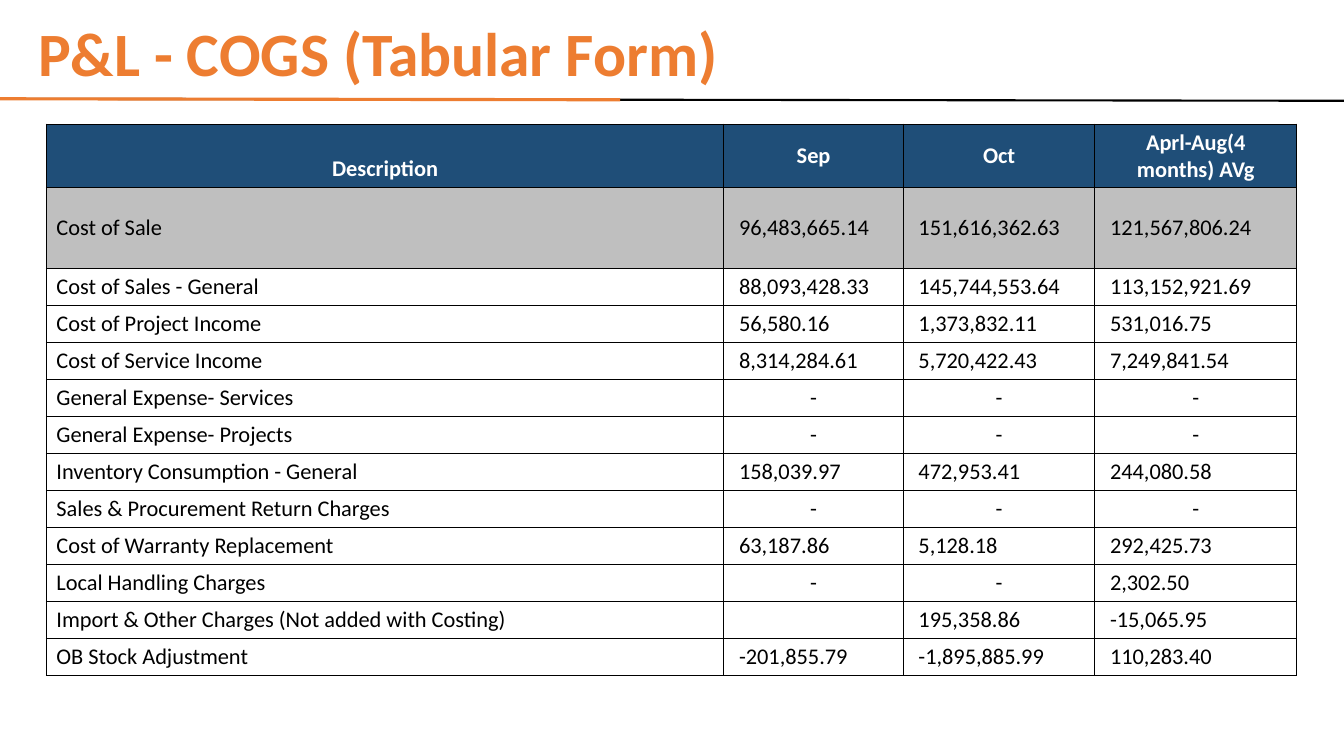
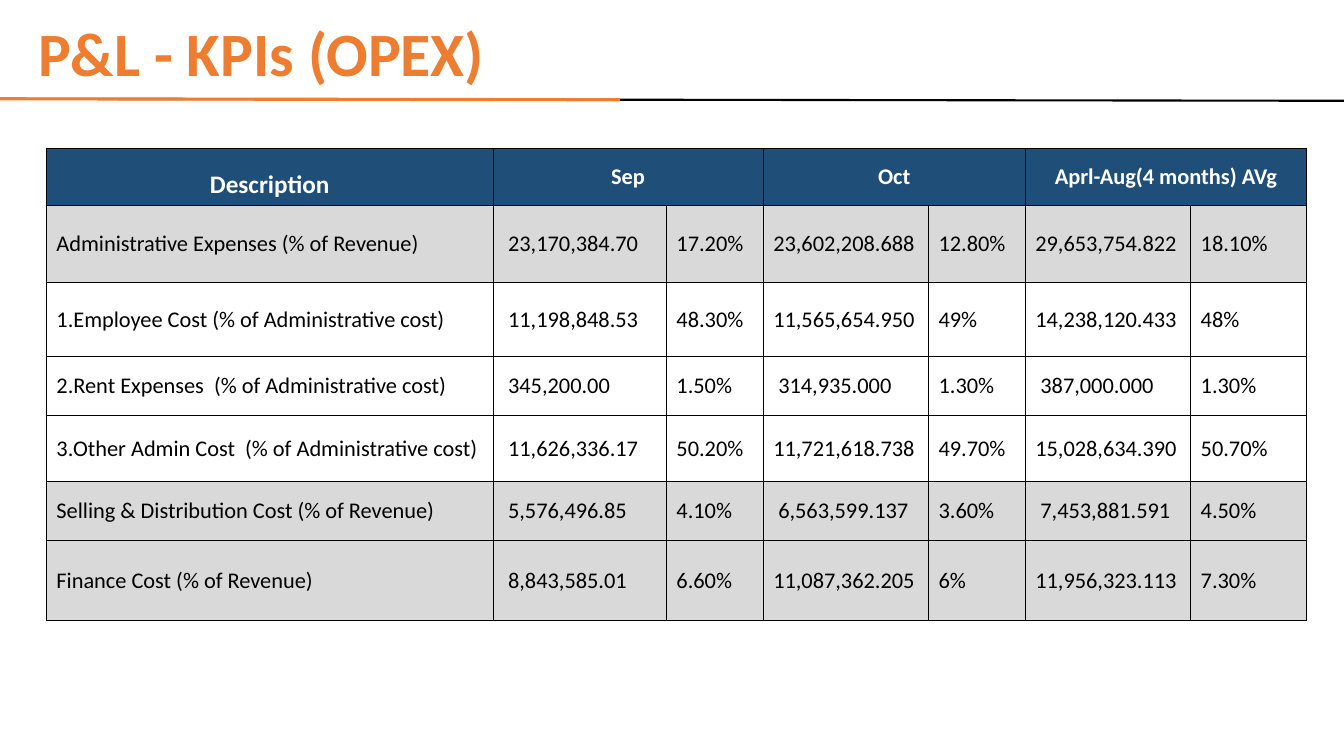
from dataclasses import dataclass

import lxml.etree
import pptx
import pptx.dml.color
import pptx.enum.shapes
import pptx.enum.text
import pptx.oxml.ns
import pptx.util

Inches, Pt = pptx.util.Inches, pptx.util.Pt
Align, Anchor = pptx.enum.text.PP_ALIGN, pptx.enum.text.MSO_ANCHOR
qn = pptx.oxml.ns.qn


@dataclass(frozen=True)
class Theme:
    font: str = "Calibri"
    accent: str = "ED7D31"
    ink: str = "000000"
    paper: str = "FFFFFF"
    header: str = "1F4E78"
    cogs_total: str = "BFBFBF"
    kpi_total: str = "D9D9D9"
    title_size: float = 44
    body_size: float = 16
    large_header_size: float = 18
    border: float = 0.75
    closing_border: float = 1.2
    cell_margin: float = 0.1
    amount_indent: float = 0.15


THEME = Theme()


def rgb(colour):
    return pptx.dml.color.RGBColor.from_string(colour)


def style_text(paragraph, size, colour, bold=False, align=Align.LEFT):
    paragraph.alignment = align
    font = paragraph.font
    font.name, font.size, font.bold = THEME.font, Pt(size), bold
    font.color.rgb = rgb(colour)


# Title and the two-colour rule beneath it
def add_rule(slide, start, end, colour, weight):
    rule = slide.shapes.add_connector(
        pptx.enum.shapes.MSO_CONNECTOR.STRAIGHT,
        *(Inches(value) for value in (*start, *end)))
    rule.line.color.rgb = rgb(colour)
    rule.line.width = Pt(weight)
    lxml.etree.SubElement(rule._element.spPr, qn("a:effectLst"))


def add_heading(slide, title, left, top, width, height):
    bottom = top + 0.87
    add_rule(slide, (0.03, bottom), (13.35, bottom + 0.02), THEME.ink, 1.5)
    box = slide.shapes.add_textbox(
        Inches(left), Inches(top), Inches(width), Inches(height))
    frame = box.text_frame
    frame.word_wrap = True
    frame.vertical_anchor = Anchor.MIDDLE
    paragraph = frame.paragraphs[0]
    paragraph.text = title
    paragraph.line_spacing = 0.9
    style_text(paragraph, THEME.title_size, THEME.accent, bold=True)
    add_rule(slide, (0, bottom), (6.15, bottom + 0.01), THEME.accent, 2.25)


# Table cells
def set_borders(cell, bottom_width):
    properties = cell._tc.get_or_add_tcPr()
    for side in ("lnL", "lnR", "lnT", "lnB"):
        width = bottom_width if side == "lnB" else THEME.border
        line = lxml.etree.SubElement(
            properties, qn(f"a:{side}"), w=str(int(Pt(width))))
        fill = lxml.etree.SubElement(line, qn("a:solidFill"))
        lxml.etree.SubElement(fill, qn("a:srgbClr"), val=THEME.ink)


def fill_cell(cell, text, fill, size, colour, bold, align,
              anchor=Anchor.MIDDLE, indent=THEME.cell_margin,
              bottom_width=THEME.border):
    set_borders(cell, bottom_width)
    cell.fill.solid()
    cell.fill.fore_color.rgb = rgb(fill)
    cell.vertical_anchor = anchor
    cell.margin_left = Inches(indent)
    if not text:
        # An empty cell must not stretch its row
        cell.margin_top = cell.margin_bottom = 0
    paragraph = cell.text_frame.paragraphs[0]
    paragraph.text = text
    style_text(paragraph, size, colour, bold, align)


def add_statement(slide, left, top, widths, heights, headings, rows,
                  totals, total_fill, is_indented,
                  description_size=THEME.body_size,
                  closing_border=THEME.border):
    """Each heading spans an equal share of the value columns."""
    table = slide.shapes.add_table(
        len(heights), len(widths), Inches(left), Inches(top),
        Inches(sum(widths)), Inches(sum(heights))).table
    table.first_row = table.horz_banding = False
    for column, width in zip(table.columns, widths):
        column.width = Inches(width)
    for row, height in zip(table.rows, heights):
        row.height = Inches(height)

    # Header row
    span = (len(widths) - 1) // (len(headings) - 1)
    for column in range(len(widths)):
        first = column == 0
        starts_group = first or (column - 1) % span == 0
        heading = headings[0 if first else (column - 1) // span + 1]
        fill_cell(table.cell(0, column), heading if starts_group else "",
                  THEME.header, description_size if first else THEME.body_size,
                  THEME.paper, True, Align.CENTER,
                  Anchor.BOTTOM if first else Anchor.MIDDLE)
        if span > 1 and starts_group and not first:
            table.cell(0, column).merge(table.cell(0, column + span - 1))

    # Body rows
    for number, values in enumerate(rows, 1):
        fill = total_fill if values[0] in totals else THEME.paper
        last = number == len(rows)
        for column, text in enumerate(values):
            indented = column > 0 and is_indented(column, text)
            fill_cell(
                table.cell(number, column), text, fill, THEME.body_size,
                THEME.ink, False, Align.CENTER if text == "-" else Align.LEFT,
                indent=THEME.amount_indent if indented else THEME.cell_margin,
                bottom_width=closing_border if last else THEME.border)


HEADINGS = ("Description", "Sep", "Oct", "Aprl-Aug(4 months) AVg")

COGS_ROWS = (
    ("Cost of Sale", "96,483,665.14", "151,616,362.63", "121,567,806.24"),
    ("Cost of Sales - General", "88,093,428.33", "145,744,553.64", "113,152,921.69"),
    ("Cost of Project Income", "56,580.16", "1,373,832.11", "531,016.75"),
    ("Cost of Service Income", "8,314,284.61", "5,720,422.43", "7,249,841.54"),
    ("General Expense- Services", "-", "-", "-"),
    ("General Expense- Projects", "-", "-", "-"),
    ("Inventory Consumption - General", "158,039.97", "472,953.41", "244,080.58"),
    ("Sales & Procurement Return Charges", "-", "-", "-"),
    ("Cost of Warranty Replacement", "63,187.86", "5,128.18", "292,425.73"),
    ("Local Handling Charges", "-", "-", "2,302.50"),
    ("Import & Other Charges (Not added with Costing)", "", "195,358.86", "-15,065.95"),
    ("OB Stock Adjustment", "-201,855.79", "-1,895,885.99", "110,283.40"),
)

KPI_ROWS = (
    ("Administrative Expenses (% of Revenue)", "23,170,384.70", "17.20%",
     "23,602,208.688", "12.80%", "29,653,754.822", "18.10%"),
    ("1.Employee Cost (% of Administrative cost)", "11,198,848.53", "48.30%",
     "11,565,654.950", "49%", "14,238,120.433", "48%"),
    ("2.Rent Expenses  (% of Administrative cost)", "345,200.00", "1.50%",
     "314,935.000", "1.30%", "387,000.000", "1.30%"),
    ("3.Other Admin Cost  (% of Administrative cost)", "11,626,336.17", "50.20%",
     "11,721,618.738", "49.70%", "15,028,634.390", "50.70%"),
    ("Selling & Distribution Cost (% of Revenue)", "5,576,496.85", "4.10%",
     "6,563,599.137", "3.60%", "7,453,881.591", "4.50%"),
    ("Finance Cost (% of Revenue)", "8,843,585.01", "6.60%",
     "11,087,362.205", "6%", "11,956,323.113", "7.30%"),
)


def is_cogs_indented(column, text):
    return text != "-"


def is_kpi_indented(column, text):
    """September amounts, and later amounts below ten million."""
    if text.endswith("%"):
        return False
    return column == 1 or float(text.replace(",", "")) < 10_000_000


def add_statement_slide(deck, title, **statement):
    slide = deck.slides.add_slide(deck.slide_layouts[6])
    add_heading(slide, title, 0.28, 0.11, 9.96, 0.91)
    add_statement(slide, left=0.46, headings=HEADINGS, **statement)


def main():
    deck = pptx.Presentation()
    deck.slide_width, deck.slide_height = Inches(13.33), Inches(7.5)
    add_statement_slide(
        deck, "P&L - COGS (Tabular Form)", top=1.23,
        widths=(6.72, 1.78, 1.9, 2),
        heights=(0.57, 0.8) + (0.35,) * (len(COGS_ROWS) - 1),
        rows=COGS_ROWS, totals=("Cost of Sale",),
        total_fill=THEME.cogs_total, is_indented=is_cogs_indented,
        closing_border=THEME.closing_border)
    add_statement_slide(
        deck, "P&L - KPIs (OPEX)", top=1.47,
        widths=(4.43, 1.72, 0.96, 1.64, 0.96, 1.64, 1.15),
        heights=(0.57, 0.76, 0.74, 0.58, 0.66, 0.58, 0.8),
        rows=KPI_ROWS,
        totals=[row[0] for row in KPI_ROWS if row[0].endswith("(% of Revenue)")],
        total_fill=THEME.kpi_total, is_indented=is_kpi_indented,
        description_size=THEME.large_header_size)
    deck.save("out.pptx")


if __name__ == "__main__":
    main()
